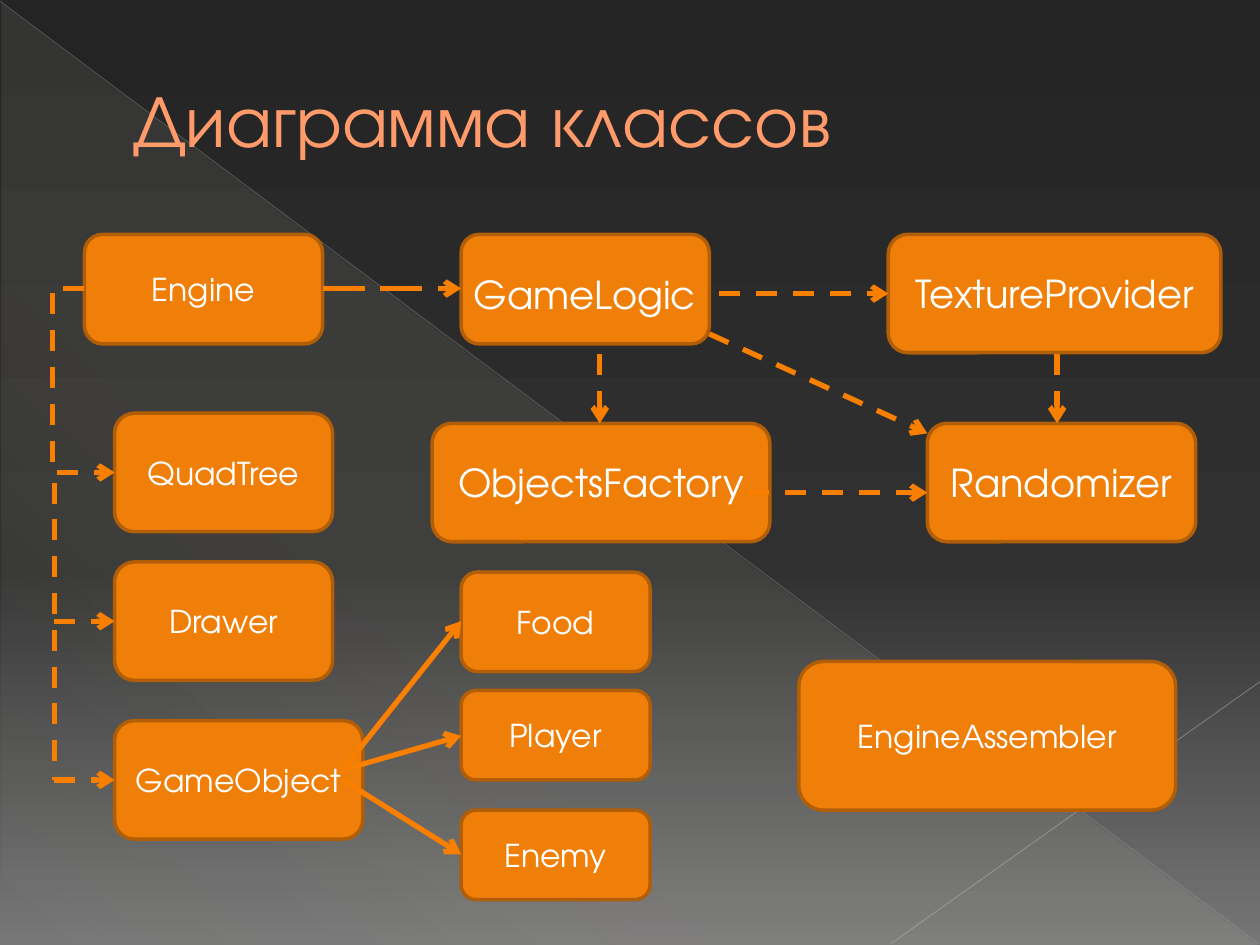
from pptx import Presentation
from pptx.dml.color import RGBColor
from pptx.enum.dml import MSO_LINE
from pptx.enum.shapes import MSO_CONNECTOR, MSO_SHAPE
from pptx.enum.text import MSO_ANCHOR, MSO_AUTO_SIZE, PP_ALIGN
from pptx.oxml.ns import qn
from pptx.util import Inches, Pt
from lxml.etree import SubElement

FONT = "TeX Gyre Adventor"
COLORS = {
    "title": "FF9B6A", "title_outline": "A65806", "text": "FFFFFF",
    "box": "F07F09", "box_border": "B25E07", "arrow": "F97F00",
    "veil": "E3DED1", "long_diagonal": "B6B6B6", "short_diagonal": "BFBFBF",
}
# colour, position %, opacity %
BACKGROUND = [("242424", 0, 100), ("303030", 60, 100), ("767676", 100, 100)]
VEIL = [(COLORS["veil"], 0, 10), (COLORS["veil"], 70, 8), (COLORS["veil"], 100, 1)]

# start, end, colour, width, opacity %
DIAGONALS = [
    ((0, 0.01), (9.99, 7.49), COLORS["long_diagonal"], 0.39, 35),
    ((10, 5.41), (7.07, 7.49), COLORS["short_diagonal"], 0.47, 45),
]

TITLE = "Диаграмма классов"
# class name, left, top, width, height, text size
CLASSES = [
    ("Engine", 0.67, 1.86, 1.89, 0.87, 18),
    ("", 3.66, 1.86, 1.97, 0.87, 22),  # GameLogic, labelled separately
    ("Randomizer", 7.36, 3.36, 2.13, 0.94, 22),
    ("ObjectsFactory", 3.43, 3.36, 2.68, 0.94, 22),
    ("TextureProvider", 7.05, 1.86, 2.64, 0.94, 22),
    ("QuadTree", 0.91, 3.28, 1.73, 0.94, 18),
    ("Drawer", 0.91, 4.46, 1.73, 0.94, 18),
    ("GameObject", 0.91, 5.72, 1.97, 0.94, 18),
    ("Food", 3.66, 4.54, 1.5, 0.79, 18),
    ("Player", 3.66, 5.48, 1.5, 0.71, 18),
    ("Enemy", 3.66, 6.43, 1.5, 0.71, 18),
    ("EngineAssembler", 6.34, 5.25, 2.99, 1.18, 18),
]

LONG_DASH, DASH, SOLID = MSO_LINE.LONG_DASH, MSO_LINE.DASH, MSO_LINE.SOLID
TRUNK_X = 0.43
# start, end, dash
ARROWS = [
    ((2.56, 2.29), (3.66, 2.29), LONG_DASH),
    ((5.71, 2.33), (7.05, 2.33), DASH),
    ((5.94, 3.91), (7.36, 3.91), DASH),
    ((4.76, 2.81), (4.76, 3.36), DASH),
    ((5.63, 2.65), (7.36, 3.44), DASH),
    ((TRUNK_X, 4.93), (0.91, 4.93), DASH),
    ((TRUNK_X, 6.19), (0.91, 6.19), DASH),
    ((2.72, 6.11), (3.66, 4.93), SOLID),
    ((2.72, 6.11), (3.66, 5.84), SOLID),
    ((2.72, 6.19), (3.66, 6.78), SOLID),
    ((8.39, 2.81), (8.39, 3.36), DASH),
]
ENGINE_TO_QUADTREE = ((0.67, 2.29), (0.91, 3.75))
ELBOW_BEND = -1.058  # share of the connector's width, left of its start


def rgb(color):
    return RGBColor.from_string(color)


def fill_gradient(properties, stops, angle):
    """Replace the solid fill inside properties with a linear gradient."""
    solid = properties.find(qn("a:solidFill"))
    gradient = SubElement(properties, qn("a:gradFill"), rotWithShape="1")
    stop_list = SubElement(gradient, qn("a:gsLst"))
    for color, position, opacity in stops:
        stop = SubElement(stop_list, qn("a:gs"), pos=str(position * 1000))
        shade = SubElement(stop, qn("a:srgbClr"), val=color)
        SubElement(shade, qn("a:alpha"), val=str(opacity * 1000))
    SubElement(gradient, qn("a:lin"), ang=str(angle * 60000), scaled="0")
    properties.replace(solid, gradient)


def write(frame, text, size, color=COLORS["text"], align=PP_ALIGN.CENTER):
    frame.word_wrap = True
    frame.vertical_anchor = MSO_ANCHOR.MIDDLE
    frame.text = text
    paragraph = frame.paragraphs[0]
    paragraph.alignment = align
    for run in paragraph.runs:
        run.font.name = FONT
        run.font.size = Pt(size)
        run.font.color.rgb = rgb(color)
    return paragraph


def add_line(slide, start, end, color, width, dash=SOLID, arrow=False,
             kind=MSO_CONNECTOR.STRAIGHT):
    connector = slide.shapes.add_connector(
        kind, *(Inches(value) for value in start + end))
    connector.line.color.rgb = rgb(color)
    connector.line.width = Pt(width)
    connector.line.dash_style = dash
    if arrow:
        line = connector.element.spPr.find(qn("a:ln"))
        SubElement(line, qn("a:tailEnd"), type="arrow")
    SubElement(connector.element.spPr, qn("a:effectLst"))
    return connector


def add_backdrop(slide):
    slide.background.fill.solid()
    fill_gradient(slide.element.find(".//" + qn("p:bgPr")), BACKGROUND, 90)
    veil = slide.shapes.add_shape(
        MSO_SHAPE.RIGHT_TRIANGLE, Inches(0.01), Inches(0.02), Inches(9.98), Inches(7.48))
    veil.shadow.inherit = False
    veil.line.fill.background()
    veil.fill.solid()
    fill_gradient(veil.element.spPr, VEIL, 133)
    for start, end, color, width, opacity in DIAGONALS:
        diagonal = add_line(slide, start, end, color, width)
        shade = diagonal.element.find(".//" + qn("a:srgbClr"))
        SubElement(shade, qn("a:alpha"), val=str(opacity * 1000))


def add_title(slide):
    title = slide.shapes.add_textbox(Inches(0.43), Inches(0.17), Inches(9), Inches(1.53))
    paragraph = write(title.text_frame, TITLE, 42, COLORS["title"], PP_ALIGN.LEFT)
    title.element.find(".//" + qn("a:pPr")).set("marL", str(Inches(0.53)))
    run_properties = title.element.find(".//" + qn("a:rPr"))
    outline = SubElement(run_properties, qn("a:ln"), w=str(Pt(0.5)))
    outline_fill = SubElement(outline, qn("a:solidFill"))
    SubElement(outline_fill, qn("a:srgbClr"), val=COLORS["title_outline"])
    run_properties.insert(0, outline)


def add_class(slide, name, left, top, width, height, size):
    box = slide.shapes.add_shape(
        MSO_SHAPE.ROUNDED_RECTANGLE, *map(Inches, (left, top, width, height)))
    box.shadow.inherit = False
    box.fill.solid()
    box.fill.fore_color.rgb = rgb(COLORS["box"])
    box.line.color.rgb = rgb(COLORS["box_border"])
    box.line.width = Pt(2)
    if name:
        write(box.text_frame, name, size)


def add_relations(slide):
    for start, end, dash in ARROWS:
        add_line(slide, start, end, COLORS["arrow"], 3, dash, arrow=True)
    add_line(slide, (TRUNK_X, 3.83), (TRUNK_X, 6.19), COLORS["arrow"], 3, DASH)
    elbow = add_line(slide, *ENGINE_TO_QUADTREE, COLORS["arrow"], 3, DASH,
                     arrow=True, kind=MSO_CONNECTOR.ELBOW)
    guides = elbow.element.find(".//" + qn("a:avLst"))
    SubElement(guides, qn("a:gd"), name="adj1", fmla=f"val {round(ELBOW_BEND * 100000)}")


def add_game_logic_label(slide):
    label = slide.shapes.add_textbox(Inches(3.66), Inches(2.1), Inches(2.05), Inches(0.47))
    write(label.text_frame, "GameLogic", 22, align=PP_ALIGN.LEFT)
    label.text_frame.vertical_anchor = MSO_ANCHOR.TOP
    label.text_frame.auto_size = MSO_AUTO_SIZE.SHAPE_TO_FIT_TEXT


def main():
    deck = Presentation()
    deck.slide_width, deck.slide_height = Inches(10), Inches(7.5)
    slide = deck.slides.add_slide(deck.slide_layouts[6])
    add_backdrop(slide)
    add_title(slide)
    for class_box in CLASSES:
        add_class(slide, *class_box)
    add_relations(slide)
    add_game_logic_label(slide)
    deck.save("out.pptx")


if __name__ == "__main__":
    main()
